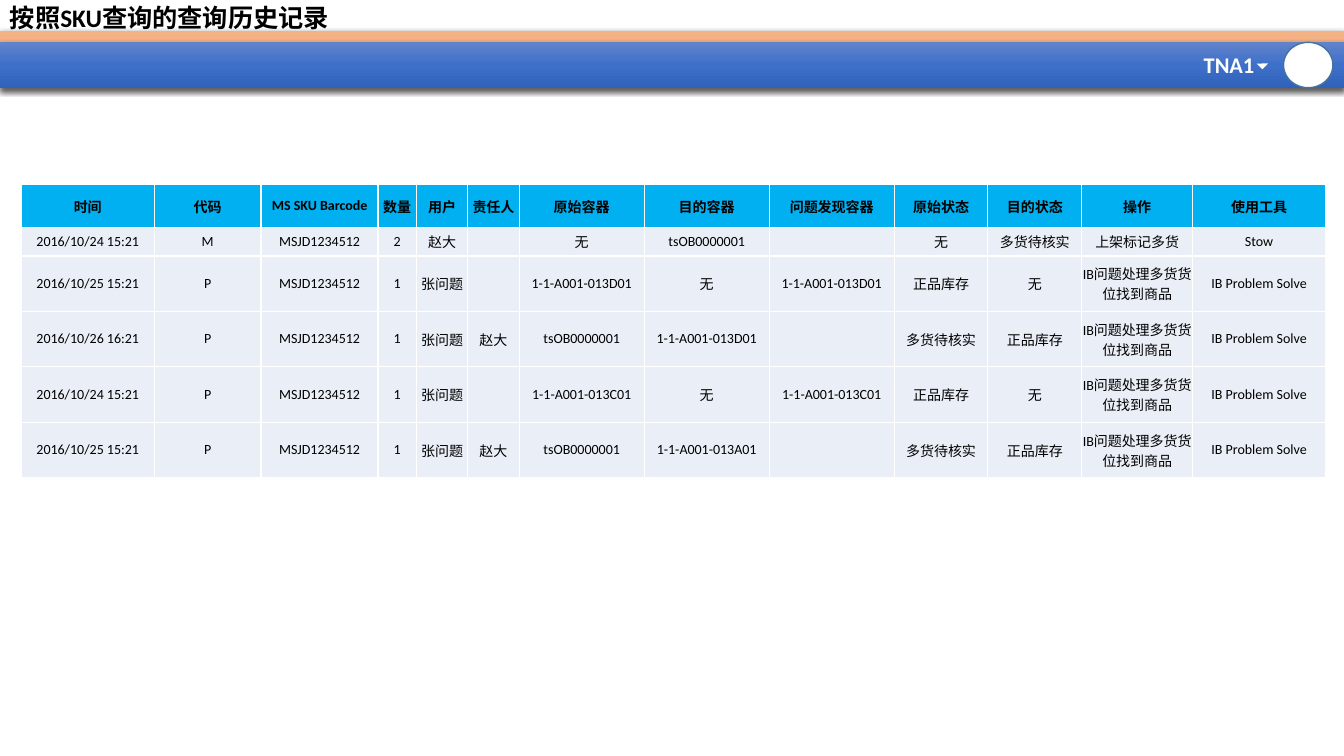
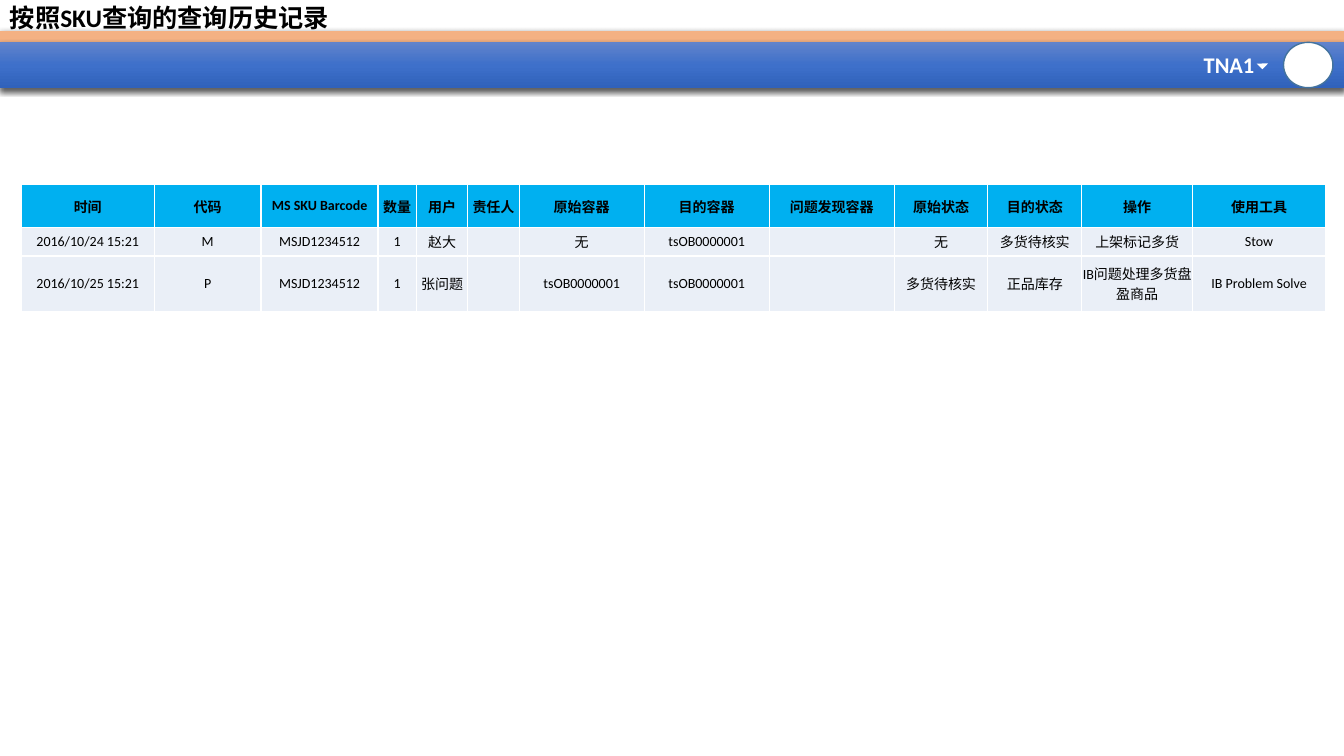
from lxml import etree
from pptx import Presentation
from pptx.dml.color import RGBColor
from pptx.enum import shapes, text
from pptx.oxml.ns import qn
from pptx.util import Inches, Pt

BLACK = RGBColor(0x00, 0x00, 0x00)
WHITE = RGBColor(0xFF, 0xFF, 0xFF)
PEACH = RGBColor(0xF4, 0xB1, 0x83)
RING = RGBColor(0x43, 0x73, 0x9E)
HEAD = RGBColor(0x00, 0xB0, 0xF0)
PALE = RGBColor(0xEA, 0xEF, 0xF7)
BLUES = {0: RGBColor(0x61, 0x83, 0xCB), 50: RGBColor(0x3E, 0x70, 0xCA),
         100: RGBColor(0x30, 0x62, 0xBB)}
FONT = "Calibri"
SHAPE = shapes.MSO_SHAPE

TITLE = "按照SKU查询的查询历史记录"
COLS = [1.32, 1.06, 1.16, 0.38, 0.51, 0.51, 1.24, 1.24, 1.24, 0.93, 0.93, 1.1, 1.32]
HEADS = ["时间", "代码", "MS SKU Barcode", "数量", "用户", "责任人", "原始容器",
         "目的容器", "问题发现容器", "原始状态", "目的状态", "操作", "使用工具"]
SKU = "MSJD1234512"
BOX = "tsOB0000001"
FOUND = "IB问题处理多货货位找到商品"
GAIN = "IB问题处理多货盘盈商品"


def stow(count):
    """Row for surplus goods marked while shelving."""
    return ["2016/10/24 15:21", "M", SKU, count, "赵大", "", "无", BOX, "",
            "无", "多货待核实", "上架标记多货", "Stow"]


def solve(time, blame, source, target, spot, before, after, action):
    """Row for one item handled by the problem solver."""
    return [time, "P", SKU, "1", "张问题", blame, source, target, spot,
            before, after, action, "IB Problem Solve"]


def missing(time, place):
    return solve(time, "", place, "无", place, "正品库存", "无", FOUND)


def moved(time, place):
    return solve(time, "赵大", BOX, place, "", "多货待核实", "正品库存", FOUND)


PAGES = [
    [stow("2"),
     missing("2016/10/25 15:21", "1-1-A001-013D01"),
     moved("2016/10/26 16:21", "1-1-A001-013D01"),
     missing("2016/10/24 15:21", "1-1-A001-013C01"),
     moved("2016/10/25 15:21", "1-1-A001-013A01")],
    [stow("1"),
     solve("2016/10/25 15:21", "", BOX, BOX, "", "多货待核实", "正品库存", GAIN)],
]


def node(parent, tag, **attrs):
    return etree.SubElement(parent, qn(tag), **attrs)


def tint(parent, color):
    return node(parent, "a:srgbClr", val=str(color))


class Deck:
    def __init__(self):
        self.prs = Presentation()
        self.prs.slide_width = Inches(13.33)
        self.prs.slide_height = Inches(7.5)
        self.slide = None

    def page(self, rows):
        self.slide = self.prs.slides.add_slide(self.prs.slide_layouts[6])
        self.frame()
        title = self.label(TITLE, (0, -0.01, 11.5, 0.4), 18, BLACK)
        title.vertical_anchor = text.MSO_ANCHOR.MIDDLE
        title.paragraphs[0].line_spacing = 0.9
        self.table(rows)

    def frame(self):
        """Bands and site menu that every slide carries."""
        self.shade(self.shape(SHAPE.RECTANGLE, (0, 0.31, 13.33, 0.11), PEACH))
        bar = self.shape(SHAPE.RECTANGLE, (0, 0.42, 13.33, 0.45), WHITE)
        self.blend(bar)
        self.shade(bar)
        self.shape(SHAPE.OVAL, (12.73, 0.42, 0.49, 0.45), WHITE, RING)
        site = self.label("TNA1", (11.84, 0.46, 0.71, 0.37), 16, WHITE)
        site.word_wrap = False
        site.auto_size = text.MSO_AUTO_SIZE.SHAPE_TO_FIT_TEXT
        arrow = self.shape(SHAPE.RIGHT_TRIANGLE, (12.48, 0.59, 0.08, 0.08), WHITE)
        arrow.rotation = 314.5

    def shape(self, kind, place, fill, line=None):
        item = self.slide.shapes.add_shape(kind, *map(Inches, place))
        item.shadow.inherit = False
        item.fill.solid()
        item.fill.fore_color.rgb = fill
        if line is None:
            item.line.fill.background()
        else:
            item.line.color.rgb = line
            item.line.width = Pt(1)
        return item

    def blend(self, item):
        """Fill with the blue gradient, light at the top."""
        item.fill.gradient()
        item.fill.gradient_angle = 270
        stops = item._element.spPr.find(".//" + qn("a:gsLst"))
        for old in list(stops):
            stops.remove(old)
        for pos, color in BLUES.items():
            tint(node(stops, "a:gs", pos=str(pos * 1000)), color)

    def shade(self, item):
        """Add a soft shadow below."""
        effects = item._element.spPr.find(qn("a:effectLst"))
        outer = node(effects, "a:outerShdw", blurRad=str(Pt(4.5)),
                     dist=str(Pt(1.5)), dir="5400000", algn="ctr", rotWithShape="0")
        node(tint(outer, BLACK), "a:alpha", val="63000")

    def style(self, para, size, color, bold):
        para.font.name = FONT
        para.font.size = Pt(size)
        para.font.bold = bold
        para.font.color.rgb = color

    def label(self, words, place, size, color):
        frame = self.slide.shapes.add_textbox(*map(Inches, place)).text_frame
        frame.word_wrap = True
        frame.text = words
        self.style(frame.paragraphs[0], size, color, True)
        return frame

    def table(self, rows):
        highs = [0.43, 0.28] + [0.55] * (len(rows) - 1)
        grid = self.slide.shapes.add_table(
            len(highs), len(COLS), Inches(0.21), Inches(1.83),
            Inches(sum(COLS)), Inches(sum(highs))).table
        grid.first_row = grid.horz_banding = False
        for col, width in zip(grid.columns, COLS):
            col.width = Inches(width)
        for row, high, words in zip(grid.rows, highs, [HEADS] + rows):
            row.height = Inches(high)
            for cell, word in zip(row.cells, words):
                self.cell(cell, word, words is HEADS)

    def cell(self, cell, word, head):
        cell.text = word
        cell.vertical_anchor = text.MSO_ANCHOR.MIDDLE
        cell.margin_left = cell.margin_right = 0
        cell.margin_top = cell.margin_bottom = 0
        para = cell.text_frame.paragraphs[0]
        para.alignment = text.PP_ALIGN.CENTER
        self.style(para, 10, BLACK, head)
        if not word:
            node(para._p, "a:endParaRPr", sz="1000")
        props = cell._tc.get_or_add_tcPr()
        for side in "LRTB":
            edge = node(props, "a:ln" + side, w=str(Pt(1)))
            tint(node(edge, "a:solidFill"), WHITE)
        cell.fill.solid()
        cell.fill.fore_color.rgb = HEAD if head else PALE


def main():
    deck = Deck()
    for rows in PAGES:
        deck.page(rows)
    deck.prs.save("out.pptx")


if __name__ == "__main__":
    main()
